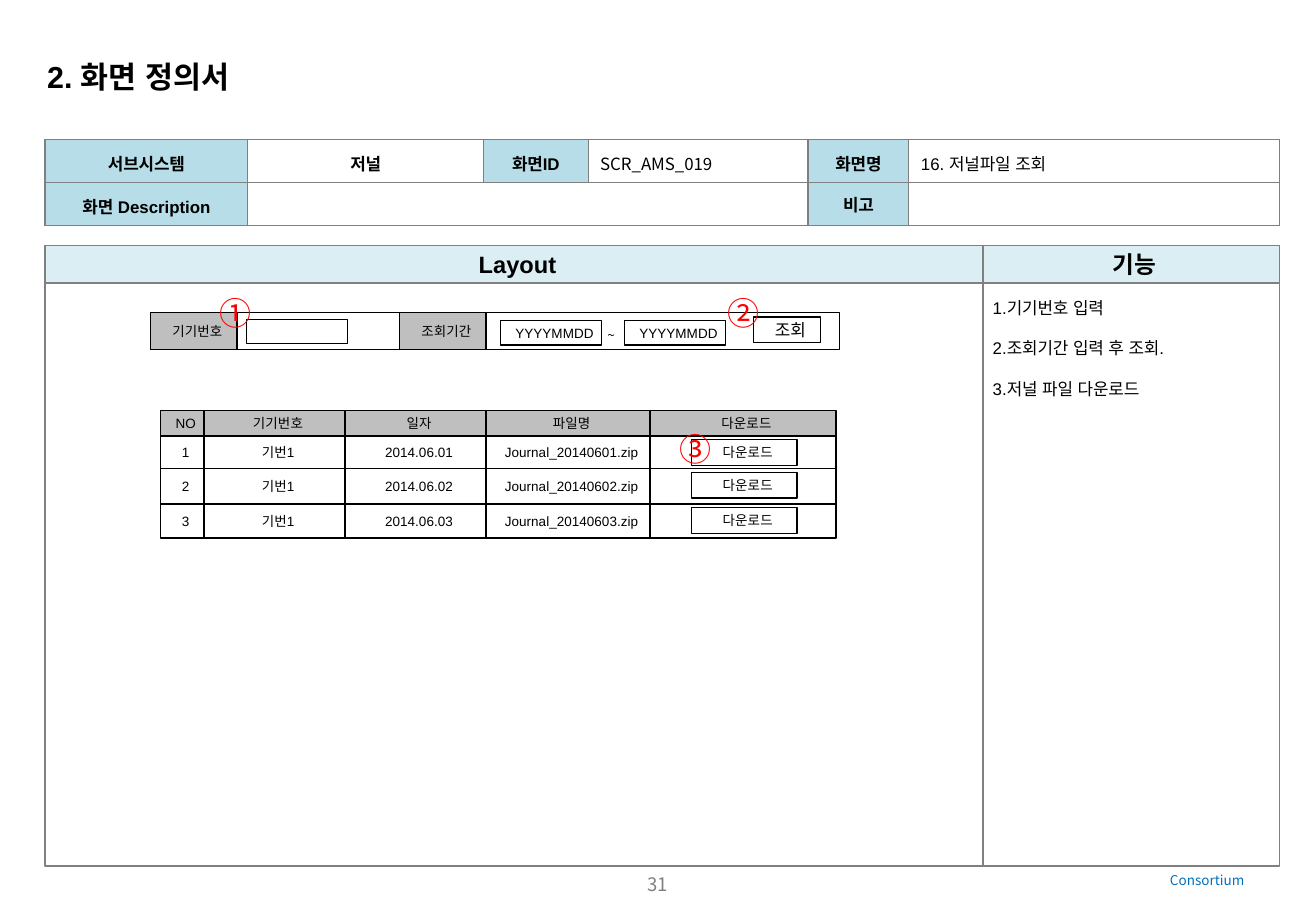
from itertools import accumulate
from lxml import etree
from pptx import Presentation
from pptx.dml.color import RGBColor
from pptx.enum.shapes import MSO_SHAPE
from pptx.enum.text import MSO_ANCHOR, PP_ALIGN
from pptx.oxml.ns import qn
from pptx.util import Inches, Pt

RECTANGLE = MSO_SHAPE.RECTANGLE
TOP, MIDDLE = MSO_ANCHOR.TOP, MSO_ANCHOR.MIDDLE
LEFT, CENTER = PP_ALIGN.LEFT, PP_ALIGN.CENTER
ARIAL, NOTO = "Arial", "Noto Sans CJK KR"
BLACK, WHITE, GRAY, SILVER = "000000", "FFFFFF", "808080", "BFBFBF"
BLUE, PALE_BLUE, RED, LINK_BLUE = "B7DEE8", "DBEEF4", "FF0000", "0070C0"
TEXT_INSETS = (0.1, 0.05, 0.1, 0.05)
LOW_INSETS = (0.1, 0.08, 0.1, 0.05)
SHAPE_INSETS = (0.1, 0.02, 0.04, 0.02)

# Content: left, top, width, height, text, size, font, colour, bold, alignment
LABELS = [
    (9.53, 7.13, 1.02, 0.24, "Consortium", 8, NOTO, LINK_BLUE, False, LEFT),
    (3.96, 7.14, 2.91, 0.32, "31", 11, NOTO, GRAY, False, CENTER),
    (0.29, 0.43, 2.14, 0.4, "2. 화면 정의서", 18, ARIAL, BLACK, True, LEFT),
    (4.9, 2.64, 0.29, 0.24, "~", 8, NOTO, BLACK, False, LEFT),
]
MARKERS = [("①", 1.71, 2.37), ("②", 5.89, 2.37), ("③", 5.49, 3.49)]

INFO_COLUMNS = [1.67, 1.94, 0.86, 1.81, 0.83, 3.05]
INFO_HEIGHTS = [0.35, 0.36]
INFO_ROWS = [
    ["서브시스템", "저널", "화면ID", "SCR_AMS_019", "화면명", "16. 저널파일 조회"],
    ["화면 Description", "", "", "", "비고", ""],
]
INFO_HEADINGS = {"서브시스템", "화면ID", "화면명", "화면 Description", "비고"}

PANELS = [("Layout", 0.37, 7.72), ("기능", 8.09, 2.44)]
FUNCTIONS = ["1.기기번호 입력", "2.조회기간 입력 후 조회.", "3.저널 파일 다운로드"]

# Search bar: left, top, width, height, text, fill, size
SEARCH_BAR = [
    (1.24, 2.57, 5.67, 0.31, "", WHITE, 8),
    (1.24, 2.57, 0.71, 0.31, "기기번호", SILVER, 8),
    (2.03, 2.63, 0.83, 0.2, "", WHITE, 8),
    (3.29, 2.57, 0.71, 0.31, "조회기간", SILVER, 8),
    (4.12, 2.64, 0.83, 0.2, "YYYYMMDD", WHITE, 8),
    (5.14, 2.64, 0.83, 0.2, "YYYYMMDD", WHITE, 8),
    (6.2, 2.61, 0.55, 0.21, "조회", WHITE, 10),
]

# Journal file list, drawn as screen widgets
FILE_LEFT, FILE_TOP = 1.32, 3.38
FILE_COLUMNS = [0.36, 1.16, 1.16, 1.35, 1.53]
FILE_HEIGHTS = [0.21, 0.27, 0.29, 0.28]
FILE_ROWS = [["NO", "기기번호", "일자", "파일명", "다운로드"]] + [
    [str(day), "기번1", f"2014.06.0{day}", f"Journal_2014060{day}.zip", ""]
    for day in (1, 2, 3)
]

deck = Presentation()
deck.slide_width, deck.slide_height = Inches(10.83), Inches(7.5)
page = deck.slides.add_slide(deck.slide_layouts[6])


def color(value):
    return RGBColor.from_string(value)


def set_margins(target, insets):
    (target.margin_left, target.margin_top,
     target.margin_right, target.margin_bottom) = map(Inches, insets)


def write(para, text, size, font=ARIAL, ink=BLACK, bold=False, align=CENTER):
    para.alignment = align
    if not text:
        etree.SubElement(para._p, qn("a:endParaRPr"), sz=str(size * 100))
        return
    span = para.add_run()
    span.text = text
    span.font.size = Pt(size)
    span.font.bold = bold
    span.font.name = font
    span.font.color.rgb = color(ink)
    etree.SubElement(span.font._element, qn("a:ea"), typeface=font)


def add_label(left, top, width, height, *text_style):
    box = page.shapes.add_textbox(*map(Inches, (left, top, width, height)))
    frame = box.text_frame
    frame.word_wrap = True
    set_margins(frame, TEXT_INSETS)
    write(frame.paragraphs[0], *text_style)


def add_box(left, top, width, height, text="", fill=WHITE, size=8,
            line=BLACK, bold=False):
    box = page.shapes.add_shape(RECTANGLE, *map(Inches, (left, top, width, height)))
    box.shadow.inherit = False
    box.fill.solid()
    box.fill.fore_color.rgb = color(fill)
    box.line.color.rgb = color(line)
    box.line.width = Pt(0.75)
    if text:
        frame = box.text_frame
        frame.word_wrap = True
        frame.vertical_anchor = MIDDLE
        set_margins(frame, SHAPE_INSETS)
        write(frame.paragraphs[0], text, size, bold=bold)
    return box


def style_cell(cell, fill, line, insets):
    properties = cell._tc.get_or_add_tcPr()
    for side in ("lnL", "lnR", "lnT", "lnB"):
        border = etree.SubElement(properties, qn(f"a:{side}"), w=str(Pt(0.75)))
        paint = etree.SubElement(border, qn("a:solidFill"))
        etree.SubElement(paint, qn("a:srgbClr"), val=line)
    cell.fill.solid()
    cell.fill.fore_color.rgb = color(fill)
    cell.vertical_anchor = MIDDLE
    set_margins(cell, insets)


# Screen information table
info = page.shapes.add_table(
    len(INFO_HEIGHTS), len(INFO_COLUMNS),
    *map(Inches, (0.37, 1.15, sum(INFO_COLUMNS), sum(INFO_HEIGHTS)))).table
info.first_row = info.horz_banding = False
for column, width in zip(info.columns, INFO_COLUMNS):
    column.width = Inches(width)
for row, height in zip(info.rows, INFO_HEIGHTS):
    row.height = Inches(height)
for row_index, texts in enumerate(INFO_ROWS):
    for column_index, text in enumerate(texts):
        cell = info.cell(row_index, column_index)
        heading = text in INFO_HEADINGS
        font = NOTO if text.startswith("SCR") else ARIAL
        style_cell(cell, BLUE if heading else WHITE, GRAY,
                   TEXT_INSETS if font == NOTO else LOW_INSETS)
        para = cell.text_frame.paragraphs[0]
        if text != "비고":
            para.line_spacing = 1.2
        write(para, text, 10, font, bold=heading or text == "저널",
              align=LEFT if column_index in (3, 5) else CENTER)
info.cell(1, 1).merge(info.cell(1, 3))

# Layout and function panels
for title, left, width in PANELS:
    body = add_box(left, 2.33, width, 4.8, line=GRAY)
    add_box(left, 2.02, width, 0.31, title, PALE_BLUE, 14, GRAY, True)

# Function list in the right-hand panel
frame = body.text_frame
frame.word_wrap = True
frame.vertical_anchor = TOP
set_margins(frame, (0.08, 0.12, 0.08, 0.08))
for index, text in enumerate(FUNCTIONS):
    para = frame.add_paragraph() if index else frame.paragraphs[0]
    para.space_after = Pt(12)
    write(para, text, 10, align=LEFT)

# Search bar
for item in SEARCH_BAR:
    add_box(*item)

# Journal file list with a download button in each row
column_lefts = accumulate(FILE_COLUMNS[:-1], initial=FILE_LEFT)
columns = list(zip(column_lefts, FILE_COLUMNS))
row_tops = accumulate(FILE_HEIGHTS[:-1], initial=FILE_TOP)
for top, height, texts in zip(row_tops, FILE_HEIGHTS, FILE_ROWS):
    header = top == FILE_TOP
    for (left, width), text in zip(columns, texts):
        add_box(left, top, width, height, text, SILVER if header else WHITE)
    if not header:
        add_box(5.69, top + 0.03, 0.87, 0.21, "다운로드")

# Labels and numbered markers
for label in LABELS:
    add_label(*label)
for symbol, left, top in MARKERS:
    add_label(left, top, 0.47, 0.42, symbol, 19, NOTO, RED, False, LEFT)

deck.save("out.pptx")
